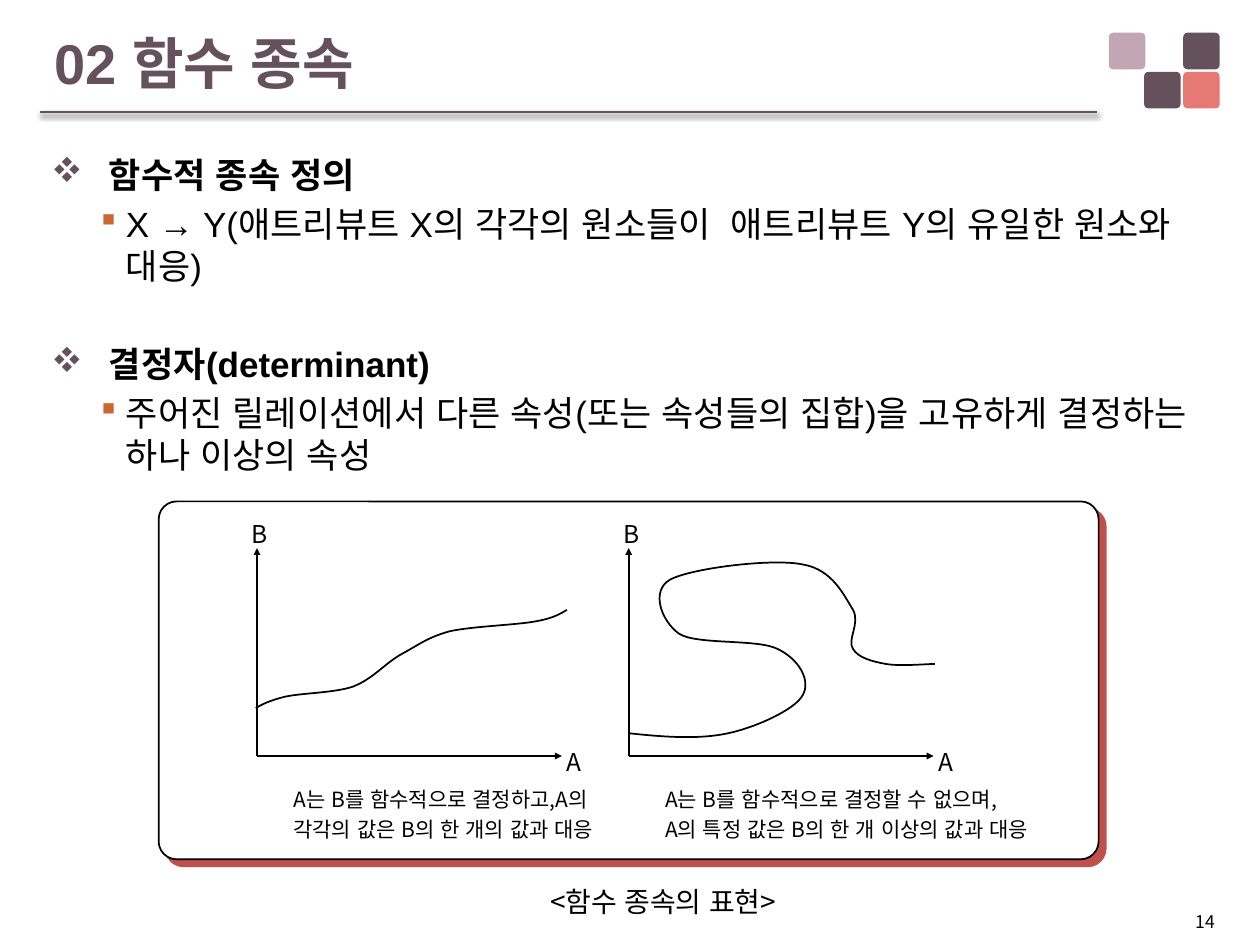
"""Build the functional dependency slide with two example plots."""
import pptx
import pptx.dml.color
import pptx.enum.shapes
import pptx.enum.text
import pptx.oxml
import pptx.oxml.ns
import pptx.util
from lxml import etree

Inches = pptx.util.Inches
Pt = pptx.util.Pt
ALIGN = pptx.enum.text.PP_ALIGN
ANCHOR = pptx.enum.text.MSO_ANCHOR
SHAPE = pptx.enum.shapes.MSO_SHAPE
qn = pptx.oxml.ns.qn

LATIN, KOREAN = "Arial", "Noto Sans CJK KR"
BLACK, PLUM = "000000", "64515B"
TITLE = "02 함수 종속"
SQUARES = [(9.39, 0.26, PLUM), (9.08, 0.57, PLUM), (9.39, 0.57, "E57A74"), (8.8, 0.26, "C3A6B3")]
HEADING = {"bullet": "v", "color": PLUM, "margin": 0.38, "hanging": 0.38, "bold": True}
DETAIL = {"bullet": "§", "color": "CC6633", "margin": 0.59, "hanging": 0.2, "bold": False}
BODY = [
    (HEADING, " 함수적 종속 정의", 0),
    (DETAIL, "X → Y(애트리뷰트 X의 각각의 원소들이  애트리뷰트 Y의 유일한 원소와 대응)", 4),
    (HEADING, " 결정자(determinant)", 32),
    (DETAIL, "주어진 릴레이션에서 다른 속성(또는 속성들의 집합)을 고유하게 결정하는 하나 이상의 속성", 4),
]
PLOTS = [
    {"left": 2.04, "caption_width": 2.85,
     "caption": ["A는 B를 함수적으로 결정하고,A의", "각각의 값은 B의 한 개의 값과 대응"],
     "curve": [(2.03, 5.62), (2.08, 5.59), (2.14, 5.56), (2.26, 5.53), (2.39, 5.5), (2.65, 5.5),
               (2.8, 5.45), (2.96, 5.39), (3.06, 5.26), (3.19, 5.19), (3.32, 5.12), (3.39, 5.06),
               (3.57, 5.01), (3.75, 4.97), (4.11, 4.96), (4.26, 4.93), (4.42, 4.9), (4.46, 4.86),
               (4.5, 4.84)]},
    {"left": 4.99, "caption_width": 3.41,
     "caption": ["A는 B를 함수적으로 결정할 수 없으며,", "A의 특정 값은 B의 한 개 이상의 값과 대응"],
     "curve": [(4.99, 5.82), (5.27, 5.85), (5.55, 5.87), (5.78, 5.82), (6.01, 5.77), (6.31, 5.63),
               (6.37, 5.52), (6.44, 5.4), (6.34, 5.23), (6.17, 5.15), (6.01, 5.07), (5.53, 5.12),
               (5.39, 5.03), (5.25, 4.93), (5.16, 4.69), (5.32, 4.6), (5.49, 4.51), (6.13, 4.43),
               (6.37, 4.48), (6.61, 4.52), (6.7, 4.73), (6.77, 4.84), (6.83, 4.95), (6.72, 5.08),
               (6.77, 5.15), (6.81, 5.22), (6.92, 5.25), (7.03, 5.27), (7.14, 5.29), (7.36, 5.27),
               (7.42, 5.27)]},
]
AXIS_TOP, AXIS_BOTTOM, AXIS_LENGTH = 4.35, 6, 2.42


def rgb(color):
    return pptx.dml.color.RGBColor.from_string(color)


def add_run(paragraph, text, size, font=KOREAN, color=BLACK, bold=False):
    run = paragraph.add_run()
    run.text = text
    run.font.size, run.font.name, run.font.bold = Pt(size), font, bold
    run.font.color.rgb = rgb(color)
    etree.SubElement(run.font._element, qn("a:ea"), typeface=LATIN)


def add_text(slide, box, lines, size, wrap=False, align=ALIGN.LEFT, spacing=None):
    shape = slide.shapes.add_textbox(*map(Inches, box))
    frame = shape.text_frame
    frame.word_wrap = wrap
    frame.auto_size = pptx.enum.text.MSO_AUTO_SIZE.SHAPE_TO_FIT_TEXT
    for index, line in enumerate(lines):
        paragraph = frame.add_paragraph() if index else frame.paragraphs[0]
        paragraph.alignment = align
        paragraph.line_spacing = spacing
        add_run(paragraph, line, size)


def set_shadow(shape, color=None, alpha=100, blur=0, distance=0, angle=0):
    """Replace the theme shadow by the given one, or by none."""
    properties = shape._element.spPr
    effects = etree.SubElement(properties, qn("a:effectLst"))
    if color:
        shadow = etree.SubElement(effects, qn("a:outerShdw"), blurRad=str(Pt(blur)),
                                  dist=str(Pt(distance)), dir=str(angle * 60000),
                                  algn="ctr", rotWithShape="0")
        tint = etree.SubElement(shadow, qn("a:srgbClr"), val=color)
        etree.SubElement(tint, qn("a:alpha"), val=str(alpha * 1000))


def add_line(slide, start, end, color=BLACK, width=1, arrow=False, shadow=()):
    line = slide.shapes.add_connector(pptx.enum.shapes.MSO_CONNECTOR.STRAIGHT,
                                      *map(Inches, start + end))
    line.line.color.rgb = rgb(color)
    line.line.width = Pt(width)
    if arrow:
        etree.SubElement(line.line._get_or_add_ln(), qn("a:headEnd"),
                         type="triangle", w="sm", len="sm")
    set_shadow(line, *shadow)


def add_rounded(slide, box, radius, fill, outline=None, shadow=()):
    shape = slide.shapes.add_shape(SHAPE.ROUNDED_RECTANGLE, *map(Inches, box))
    shape.adjustments[0] = radius
    shape.fill.solid()
    shape.fill.fore_color.rgb = rgb(fill)
    if outline:
        shape.line.color.rgb = rgb(outline)
        shape.line.width = Pt(1)
    else:
        shape.line.fill.background()
    set_shadow(shape, *shadow)


def add_curve(slide, points):
    """Draw an open outline whose points are chained cubic segments."""
    start, *controls = [tuple(map(Inches, point)) for point in points]
    builder = slide.shapes.build_freeform(*start)
    builder.add_line_segments(controls, close=False)
    shape = builder.convert_to_shape()
    segments = list(shape._element.iter(qn("a:lnTo")))
    for index in range(0, len(segments), 3):
        cubic = etree.Element(qn("a:cubicBezTo"))
        segments[index].addprevious(cubic)
        for segment in segments[index:index + 3]:
            cubic.append(segment[0])
            segment.getparent().remove(segment)
    shape.fill.background()
    shape.line.color.rgb = rgb(BLACK)
    shape.line.width = Pt(1)
    set_shadow(shape)


def add_plot(slide, plot):
    left = plot["left"]
    origin = (left, AXIS_BOTTOM)
    add_line(slide, (left, AXIS_TOP), origin, arrow=True)
    add_line(slide, (left + AXIS_LENGTH, AXIS_BOTTOM), origin, arrow=True)
    add_text(slide, (left - 0.14, 4.07, 0.32, 0.34), ["B"], 14)
    add_text(slide, (left + 2.36, 5.88, 0.33, 0.34), ["A"], 14)
    add_text(slide, (left + 0.19, 6.15, plot["caption_width"], 0.59), plot["caption"], 12, spacing=1.2)
    add_curve(slide, plot["curve"])


def add_title(slide):
    title = slide.shapes.title
    title.left, title.top, title.width, title.height = map(Inches, (0.33, 0.17, 9.4, 0.65))
    title.text_frame.vertical_anchor = ANCHOR.MIDDLE
    paragraph = title.text_frame.paragraphs[0]
    paragraph.alignment = ALIGN.LEFT
    add_run(paragraph, TITLE, 32, LATIN, PLUM, True)


def add_body(slide):
    frame = slide.shapes.add_textbox(*map(Inches, (0.31, 1.17, 9.54, 2.75))).text_frame
    frame.word_wrap = True
    for index, (style, text, space) in enumerate(BODY):
        paragraph = frame.add_paragraph() if index else frame.paragraphs[0]
        paragraph.space_before = Pt(space)
        paragraph.level = int(style is DETAIL)
        properties = paragraph._p.get_or_add_pPr()
        properties.set("marL", str(Inches(style["margin"])))
        properties.set("indent", str(-Inches(style["hanging"])))
        bullet_color = etree.SubElement(properties, qn("a:buClr"))
        etree.SubElement(bullet_color, qn("a:srgbClr"), val=style["color"])
        etree.SubElement(properties, qn("a:buFont"), typeface="Wingdings", charset="2")
        etree.SubElement(properties, qn("a:buChar"), char=style["bullet"])
        add_run(paragraph, text, 20, LATIN, bold=style["bold"])


def main():
    presentation = pptx.Presentation()
    presentation.slide_width, presentation.slide_height = Inches(10), Inches(7.5)
    slide = presentation.slides.add_slide(presentation.slide_layouts[5])
    for left, top, color in SQUARES:
        add_rounded(slide, (left, top, 0.29, 0.29), 0.12, color)
    add_line(slide, (0.32, 0.89), (8.71, 0.89), PLUM, 1.5, shadow=(BLACK, 38, 3.1, 1.6, 90))
    add_text(slide, (0.18, 7.18, 9.56, 0.27), ["14"], 10, wrap=True, align=ALIGN.RIGHT)
    add_title(slide)
    add_body(slide)
    add_text(slide, (4.27, 6.97, 2.25, 0.37), ["<함수 종속의 표현>"], 16)
    add_rounded(slide, (1.26, 3.98, 7.46, 2.84), 0.05, "FFFFFF", BLACK, ("C0504D", 100, 0, 5.7, 45))
    for plot in PLOTS:
        add_plot(slide, plot)
    presentation.save("out.pptx")


if __name__ == "__main__":
    main()
